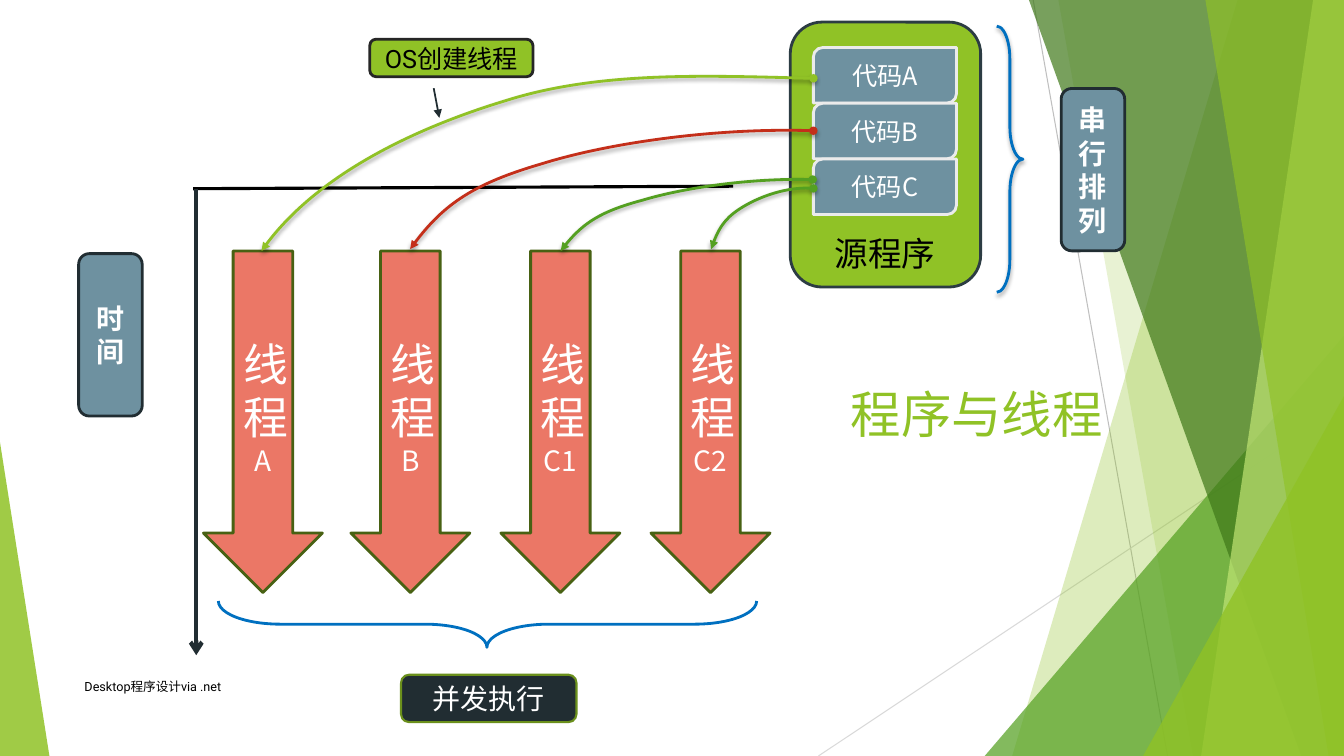
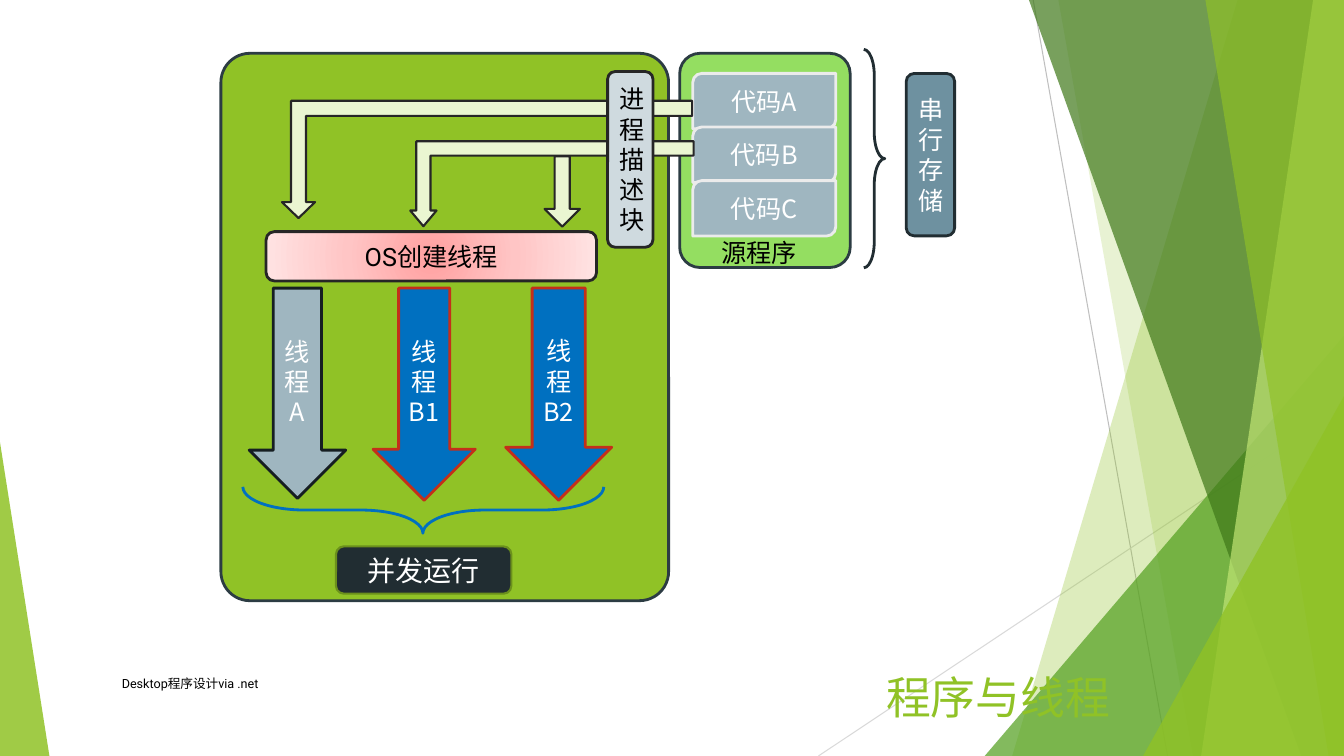
from dataclasses import dataclass
from functools import partial
from typing import Any, NamedTuple, Optional

import pptx
import pptx.dml.color
import pptx.enum.shapes
import pptx.enum.text
import pptx.oxml
import pptx.oxml.ns
import pptx.util

Pt = pptx.util.Pt
qn = pptx.oxml.ns.qn
SHAPE = pptx.enum.shapes.MSO_SHAPE
ALIGN = pptx.enum.text.PP_ALIGN
ANCHOR = pptx.enum.text.MSO_ANCHOR
CJK = "Noto Sans CJK SC"
LATIN = "Roboto"
WIDTH, HEIGHT = 960, 540
COLORS = {
    "lime": "90C226", "green": "54A021", "forest": "3F7819", "pale_lime": "C0E474",
    "cream": "EAF6D1", "mint": "94DE61", "moss": "486113", "olive": "6B901C",
    "coral": "EB7766", "red": "C42F1A", "blue": "0070C0", "steel": "6E91A0",
    "mist": "9FB6C0", "fog": "CFDADF", "slate": "2C3C43", "ink": "212D32",
    "night": "161E22", "charcoal": "262626", "frost": "EBEBEB", "white": "FFFFFF",
    "black": "000000", "rule_dark": "BFBFBF", "rule_light": "D9D9D9",
    "rose": "FFA0A0", "rose_mid": "FFC5C5", "rose_pale": "FFE3E3",
}


class Band(NamedTuple):
    top_x: float
    bottom_x: float
    color: str
    opacity: int


class Wedge(NamedTuple):
    x: float
    y: float
    w: float
    apex: float
    color: str
    opacity: int


class Line(NamedTuple):
    start: tuple
    end: tuple
    color: str
    weight: float
    tail: str = ""


class Curve(NamedTuple):
    color: str
    points: list


class Label(NamedTuple):
    x: float
    y: float
    w: float
    h: float
    text: str
    size: float
    font: str = CJK
    wrap: bool = False
    anchor: Any = ANCHOR.TOP


@dataclass
class Box:
    x: float
    y: float
    w: float
    h: float
    text: str = ""
    kind: Any = SHAPE.ROUNDED_RECTANGLE
    fill: str = ""
    line: str = "ink"
    weight: float = 2
    size: float = 18
    color: str = "white"
    font: str = CJK
    bold: bool = False
    suffix: str = ""
    suffix_size: float = 20
    adj: tuple = ()
    rotation: float = 0
    shadow: bool = False
    gradient: Optional[tuple] = None


Thread = partial(Box, kind=SHAPE.DOWN_ARROW)
Code = partial(Box, w=102.2, h=39.6, kind=SHAPE.ROUND_2_DIAG_RECTANGLE, line="frost")
Result = partial(Box, w=125.3, h=33.8, kind=SHAPE.FLOWCHART_ALTERNATE_PROCESS,
                 fill="ink", line="olive", weight=1.5, size=20)
Side = partial(Box, h=116, fill="steel")
BottomBrace = partial(Box, w=33.1, kind=SHAPE.LEFT_BRACE, line="blue",
                      adj=(1.336, 0.499), rotation=270)
RightBrace = partial(Box, kind=SHAPE.RIGHT_BRACE, adj=(1.245, 0.5))
Creator = partial(Box, text="OS创建线程", line="charcoal", color="black", font=LATIN)
Route = partial(Box, kind=SHAPE.BENT_UP_ARROW, fill="cream", line="charcoal",
                weight=1.5, rotation=180)
Footer = partial(Label, w=133, h=28.8, text="Desktop程序设计via .net", size=9,
                 font=LATIN, wrap=True, anchor=ANCHOR.MIDDLE)

BACKDROP = [
    Band(884, 723, "lime", 30),
    Band(756, 852, "lime", 20),
    Wedge(703.4, 239.8, 256.6, 1, "green", 72),
    Band(735, 929.5, "forest", 70),
    Band(938, 858, "pale_lime", 70),
    Band(861, 949, "lime", 65),
    Wedge(816.5, 283, 143.5, 1, "lime", 80),
    Wedge(0, 316, 35.3, 0, "lime", 85),
]
BACKDROP_LINES = [
    Line((738, 0), (834, HEIGHT), "rule_dark", 0.75),
    Line((WIDTH, 290), (584.6, HEIGHT), "rule_light", 0.75),
]


def rgb(name: str) -> pptx.dml.color.RGBColor:
    return pptx.dml.color.RGBColor.from_string(COLORS[name])


def add_child(parent: Any, tag: str, **attrs: Any) -> Any:
    child = pptx.oxml.parse_xml(f"<{tag} {pptx.oxml.ns.nsdecls('a')}/>")
    for key, value in attrs.items():
        child.set(key, str(value))
    parent.append(child)
    return child


def set_fill(sp: Any, color: str, opacity: int = 100) -> None:
    sp.fill.solid()
    sp.fill.fore_color.rgb = rgb(color)
    if opacity < 100:
        clr = sp.element.spPr.find(qn("a:solidFill"))[0]
        add_child(clr, "a:alpha", val=opacity * 1000)


def set_radial(sp: Any, colors: tuple) -> None:
    sp.fill.gradient()
    grad = sp.element.spPr.find(qn("a:gradFill"))
    grad.clear()
    stops = add_child(grad, "a:gsLst")
    for i, name in enumerate(colors):
        stop = add_child(stops, "a:gs", pos=i * 100000 // (len(colors) - 1))
        add_child(stop, "a:srgbClr", val=COLORS[name])
    center = add_child(grad, "a:path", path="circle")
    add_child(center, "a:fillToRect", l=50000, t=50000, r=50000, b=50000)


def set_line(sp: Any, color: str, weight: float, head: str = "", tail: str = "") -> None:
    sp.line.color.rgb = rgb(color)
    sp.line.width = Pt(weight)
    ln = sp.element.spPr.find(qn("a:ln"))
    for tag, kind in (("a:headEnd", head), ("a:tailEnd", tail)):
        if kind:
            add_child(ln, tag, type=kind)


def set_shadow(sp: Any, visible: bool) -> None:
    sp.shadow.inherit = False
    if visible:
        effects = sp.element.spPr.find(qn("a:effectLst"))
        outer = add_child(effects, "a:outerShdw", blurRad=Pt(3), dist=Pt(2), dir=5400000)
        clr = add_child(outer, "a:srgbClr", val=COLORS["black"])
        add_child(clr, "a:alpha", val=35000)


def style_run(r: Any, size: float, color: str, font: str, bold: bool = False) -> None:
    r.font.size = Pt(size)
    r.font.name = font
    r.font.bold = bold
    r.font.color.rgb = rgb(color)
    add_child(r.font._element, "a:ea", typeface=CJK)


def draw_line(shapes: Any, line: Line) -> None:
    sp = shapes.add_connector(pptx.enum.shapes.MSO_CONNECTOR.STRAIGHT,
                              *map(Pt, line.start + line.end))
    set_line(sp, line.color, line.weight, tail=line.tail)
    add_child(sp.element.spPr, "a:effectLst")


def draw_facet(shapes: Any, facet: Any) -> None:
    if isinstance(facet, Band):
        fb = shapes.build_freeform(Pt(facet.top_x), 0)
        fb.add_line_segments([(Pt(WIDTH), 0), (Pt(WIDTH), Pt(HEIGHT)),
                              (Pt(facet.bottom_x), Pt(HEIGHT))], close=True)
        sp = fb.convert_to_shape()
    else:
        sp = shapes.add_shape(SHAPE.ISOSCELES_TRIANGLE, Pt(facet.x), Pt(facet.y),
                              Pt(facet.w), Pt(HEIGHT - facet.y))
        sp.adjustments[0] = facet.apex
    set_fill(sp, facet.color, facet.opacity)
    sp.line.fill.background()
    set_shadow(sp, False)


def draw_curve(shapes: Any, curve: Curve) -> None:
    points = [(Pt(x), Pt(y)) for x, y in curve.points]
    fb = shapes.build_freeform(*points[0])
    fb.add_line_segments(points[1:], close=False)
    sp = fb.convert_to_shape()
    segments = list(sp.element.iter(qn("a:lnTo")))
    outline = segments[0].getparent()
    for i in range(0, len(segments), 3):
        bezier = add_child(outline, "a:cubicBezTo")
        for segment in segments[i:i + 3]:
            bezier.append(segment[0])
            outline.remove(segment)
    sp.fill.background()
    set_line(sp, curve.color, 2, "oval", "triangle")
    set_shadow(sp, True)


def draw_box(shapes: Any, box: Box) -> None:
    sp = shapes.add_shape(box.kind, Pt(box.x), Pt(box.y), Pt(box.w), Pt(box.h))
    for i, value in enumerate(box.adj):
        sp.adjustments[i] = value
    sp.rotation = box.rotation
    if box.gradient:
        set_radial(sp, box.gradient)
    elif box.fill:
        set_fill(sp, box.fill)
    else:
        sp.fill.background()
    set_line(sp, box.line, box.weight)
    set_shadow(sp, box.shadow)
    if not box.text:
        return
    tf = sp.text_frame
    tf.text = box.text
    tf.vertical_anchor = ANCHOR.MIDDLE
    for p in tf.paragraphs:
        p.alignment = ALIGN.CENTER
        style_run(p.runs[0], box.size, box.color, box.font, box.bold)
    if box.suffix:
        r = tf.paragraphs[-1].add_run()
        r.text = box.suffix
        style_run(r, box.suffix_size, box.color, box.font)


def draw_label(shapes: Any, label: Label) -> None:
    sp = shapes.add_textbox(Pt(label.x), Pt(label.y), Pt(label.w), Pt(label.h))
    tf = sp.text_frame
    tf.text = label.text
    tf.word_wrap = label.wrap
    tf.vertical_anchor = label.anchor
    style_run(tf.paragraphs[0].runs[0], label.size, "black", label.font)


def set_title(s: Any, x: float, y: float, w: float, h: float, size: float, font: str) -> None:
    sp = s.shapes.title
    sp.left, sp.top, sp.width, sp.height = map(Pt, (x, y, w, h))
    tf = sp.text_frame
    tf.text = "程序与线程"
    tf.auto_size = pptx.enum.text.MSO_AUTO_SIZE.NONE
    tf.vertical_anchor = ANCHOR.TOP
    tf.paragraphs[0].alignment = ALIGN.LEFT
    style_run(tf.paragraphs[0].runs[0], size, "lime", font)


def build_backdrop(s: Any) -> None:
    group = s.shapes.add_group_shape()
    for line in BACKDROP_LINES:
        draw_line(group.shapes, line)
    for facet in BACKDROP:
        draw_facet(group.shapes, facet)
    for i, props in enumerate(group.element.iter(qn("p:cNvPr")), 100):
        props.set("id", str(i))
    s.slide_layout.shapes.element.insert(2, group.element)


def code_stack(x: float, y: float, pitch: float, fill: str) -> list:
    return [Code(x=x, y=y + i * pitch, text=f"代码{name}", fill=fill)
            for i, name in enumerate("ABC")]


def build_creation(s: Any) -> None:
    set_title(s, 600.5, 270, 241, 62.6, 36, LATIN)
    threads = [Thread(x, 179.3, 85, 244, "线程", fill="coral", line="moss", size=32, suffix=name)
               for x, name in ((145.3, "A"), (250.6, "B"), (357.8, "C1"), (465, "C2"))]
    boxes = threads + [
        Box(564.5, 15.8, 136, 189.2, fill="lime", line="slate"),
        *code_stack(581, 34, 39.8, "steel"),
        Creator(264.2, 28, 116.5, 26.8, fill="lime"),
        BottomBrace(x=331.7, y=253.6, h=384.5),
        RightBrace(712, 18.7, 18.7, 190, line="blue", shadow=True),
        Side(x=758, y=63.2, w=45.4, text="串行排列", size=20, bold=True),
        Side(x=56.2, y=181.2, w=45.4, text="时间", size=20, bold=True),
        Result(x=286.5, y=482, text="并发执行"),
    ]
    for box in boxes:
        draw_box(s.shapes, box)
    for line in (Line((138, 134.8), (523.7, 133), "black", 2.25),
                 Line((140.2, 134.8), (140.2, 468), "ink", 3, "arrow"),
                 Line((309.8, 63), (313.8, 84.2), "ink", 1.25, "triangle")):
        draw_line(s.shapes, line)
    for curve in (
        Curve("lime", [(581, 56), (504, 54), (427, 51), (361, 72), (295, 92), (223, 127), (186.8, 179.3)]),
        Curve("red", [(581, 93.4), (513, 91), (435, 102), (387, 117), (339, 131), (315, 147), (293, 178)]),
        Curve("green", [(580.5, 128.3), (538, 127), (489, 134), (459, 143), (429, 151), (414, 161), (400.5, 179.3)]),
        Curve("green", [(581, 134.6), (564, 133), (544, 140), (532, 147), (520, 154), (513, 162), (508, 178)]),
    ):
        draw_curve(s.shapes, curve)
    draw_label(s.shapes, Label(589, 162.7, 87, 36, "源程序", 24))
    draw_label(s.shapes, Footer(53.3, 476))


def build_process(s: Any) -> None:
    set_title(s, 625.7, 474.5, 190.8, 46.8, 32, CJK)
    for box in (
        Box(157.8, 38.1, 319.8, 391, fill="lime", line="slate", adj=(0.065,)),
        Thread(178, 205.8, 69, 150.2, "线程A", fill="mist", line="night"),
        Thread(266.5, 205.8, 73, 151.6, "线程\nB1", fill="blue", line="red"),
        Thread(361.2, 205.8, 75.8, 151.6, "线程B2", fill="blue", line="red"),
        Box(485.5, 38.1, 121.8, 153, fill="mint", line="slate", adj=(0.119,)),
        *code_stack(494.8, 52.4, 38.3, "mist"),
        Creator(190.1, 165.5, 236, 35.2, gradient=("rose", "rose_mid", "rose_pale")),
        BottomBrace(x=285.8, y=235.4, h=257.8),
        RightBrace(617, 35.3, 15, 156),
        Side(x=647.3, y=52.5, w=34.6, text="串行存储"),
        Result(x=240, y=390.3, text="并发运行"),
        Route(201.4, 72, 293, 83.8, adj=(0.128, 0.141, 0.137)),
        Route(293, 100.9, 202.4, 60.7, adj=(0.168, 0.155, 0.185)),
        Route(389, 111.6, 25.2, 50.3, kind=SHAPE.DOWN_ARROW, rotation=0, adj=(0.427, 0.5)),
        Box(434, 51.1, 32.4, 125.5, "进程描述块", fill="fog", line="charcoal", color="black"),
    ):
        draw_box(s.shapes, box)
    draw_label(s.shapes, Label(508.3, 166.3, 69, 28.8, "源程序", 18))
    draw_label(s.shapes, Footer(79.9, 473.8))


def main() -> None:
    prs = pptx.Presentation()
    prs.slide_width, prs.slide_height = Pt(WIDTH), Pt(HEIGHT)
    layout = prs.slide_layouts.get_by_name("Title Only")
    creation, process = (prs.slides.add_slide(layout) for _ in range(2))
    build_backdrop(creation)
    build_creation(creation)
    build_process(process)
    prs.save("out.pptx")


if __name__ == "__main__":
    main()
